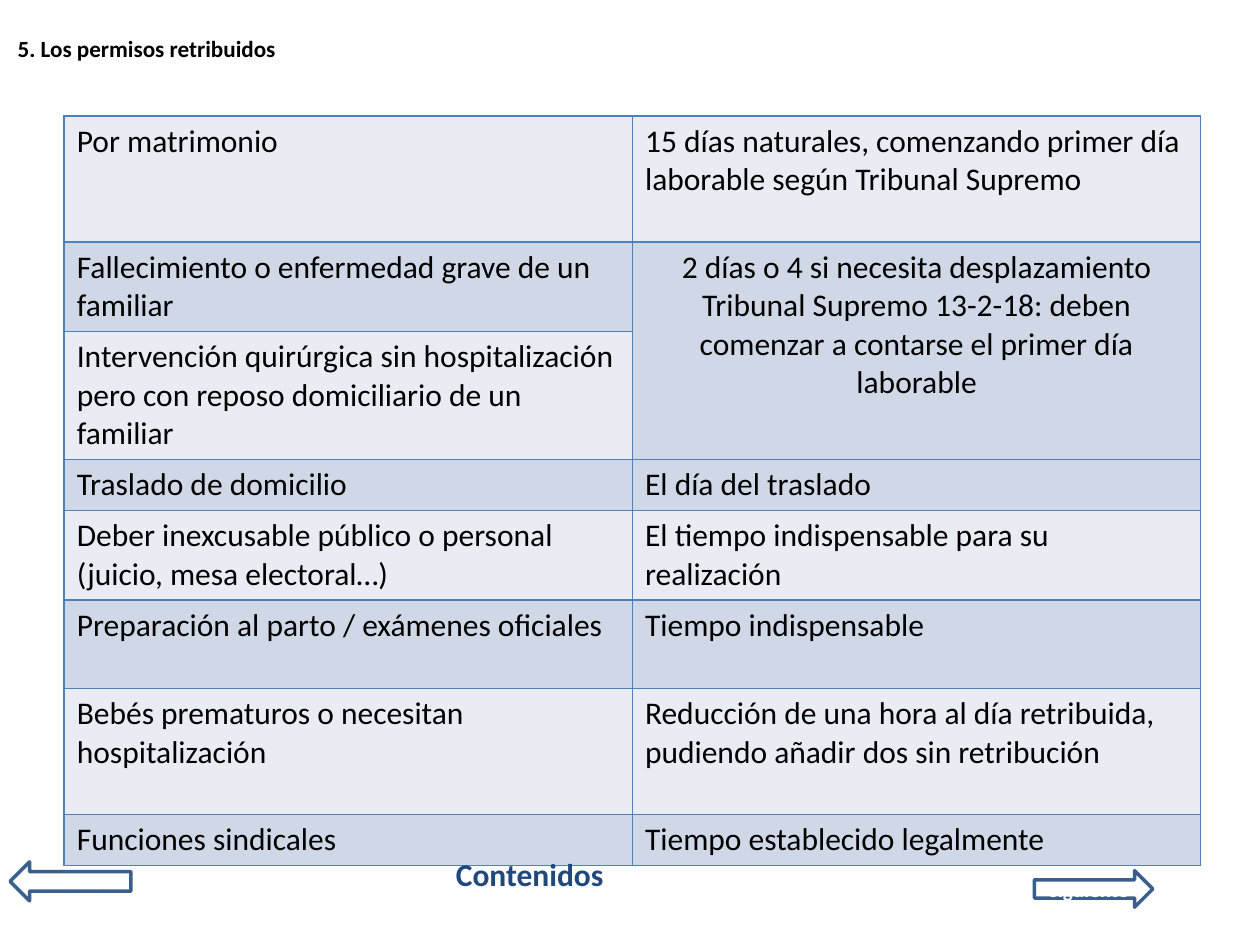
from lxml.etree import SubElement
from pptx import Presentation
from pptx.dml.color import RGBColor
from pptx.enum.shapes import MSO_SHAPE
from pptx.enum.text import MSO_ANCHOR, MSO_AUTO_SIZE, PP_ALIGN
from pptx.oxml.ns import qn
from pptx.util import Inches, Pt

BLACK = RGBColor(0x00, 0x00, 0x00)
WHITE = RGBColor(0xFF, 0xFF, 0xFF)
NAVY = RGBColor(0x1F, 0x49, 0x7D)
ARROW_LINE = RGBColor(0x3A, 0x5F, 0x8C)
BORDER = RGBColor(0x4F, 0x81, 0xBD)
BANDS = (RGBColor(0xE9, 0xEC, 0xF3), RGBColor(0xD0, 0xD8, 0xE7))

ROW_HEIGHTS = (1, 0.7, 1, 0.4, 0.7, 0.7, 1, 0.4)
LEAVE_ROWS = (
    ("Por matrimonio",
     "15 días naturales, comenzando primer día laborable según Tribunal Supremo"),
    ("Fallecimiento o enfermedad grave de un familiar",
     "2 días o 4 si necesita desplazamiento\n"
     "Tribunal Supremo 13-2-18: deben comenzar a contarse el primer día laborable"),
    ("Intervención quirúrgica sin hospitalización pero con reposo domiciliario "
     "de un familiar", ""),
    ("Traslado de domicilio", "El día del traslado"),
    ("Deber inexcusable público o personal (juicio, mesa electoral…)",
     "El tiempo indispensable para su realización"),
    ("Preparación al parto / exámenes oficiales", "Tiempo indispensable"),
    ("Bebés prematuros o necesitan hospitalización",
     "Reducción de una hora al día retribuida, pudiendo añadir dos sin retribución"),
    ("Funciones sindicales", "Tiempo establecido legalmente"),
)


def write_text(frame, text, size, color, bold=False, align=PP_ALIGN.LEFT):
    """Fill a text frame and format all its runs alike."""
    frame.text = text
    frame.word_wrap = True
    for para in frame.paragraphs:
        para.alignment = align
        for span in para.runs:
            span.font.name = "Calibri"
            span.font.size = Pt(size)
            span.font.bold = bold
            span.font.color.rgb = color


def add_borders(cell):
    """Draw a thin line on each side of a table cell."""
    properties = cell._tc.get_or_add_tcPr()
    for side in ("lnL", "lnR", "lnT", "lnB"):
        line = SubElement(properties, qn(f"a:{side}"), w=str(Pt(0.96)))
        fill = SubElement(line, qn("a:solidFill"))
        SubElement(fill, qn("a:srgbClr"), val=str(BORDER))


def place_title(page, left, top, width, height):
    """Move the title placeholder into its box and write the heading."""
    title = page.shapes.title
    title.left, title.top = Inches(left), Inches(top)
    title.width, title.height = Inches(width), Inches(height)
    frame = title.text_frame
    write_text(frame, "5. Los permisos retribuidos", 13.2, BLACK, bold=True)
    frame.auto_size = MSO_AUTO_SIZE.NONE
    frame.vertical_anchor = MSO_ANCHOR.MIDDLE


def add_leave_table(page, left, top, width):
    """Add the banded table of paid leave."""
    frame = page.shapes.add_table(
        len(LEAVE_ROWS), 2, Inches(left), Inches(top),
        Inches(width), Inches(sum(ROW_HEIGHTS)))
    table = frame.table
    for column in table.columns:
        column.width = Inches(width / 2)
    for row_index, texts in enumerate(LEAVE_ROWS):
        table.rows[row_index].height = Inches(ROW_HEIGHTS[row_index])
        for column_index, text in enumerate(texts):
            cell = table.cell(row_index, column_index)
            align = PP_ALIGN.CENTER if "\n" in text else PP_ALIGN.LEFT
            write_text(cell.text_frame, text, 18, BLACK, align=align)
            add_borders(cell)
            cell.fill.solid()
            cell.fill.fore_color.rgb = BANDS[row_index % 2]
    table.cell(1, 1).merge(table.cell(2, 1))


def add_contents_label(page, left, top, width, height):
    """Add the contents label at the foot of the page."""
    box = page.shapes.add_textbox(
        Inches(left), Inches(top), Inches(width), Inches(height))
    write_text(box.text_frame, "Contenidos", 18, NAVY, bold=True)


def add_arrow(page, preset, label, left, top, width, height):
    """Add an outlined navigation arrow with its label."""
    arrow = page.shapes.add_shape(
        preset, Inches(left), Inches(top), Inches(width), Inches(height))
    arrow.shadow.inherit = False
    arrow.fill.background()
    arrow.line.color.rgb = ARROW_LINE
    arrow.line.width = Pt(2)
    write_text(arrow.text_frame, label, 12, WHITE, bold=True, align=PP_ALIGN.CENTER)
    arrow.text_frame.vertical_anchor = MSO_ANCHOR.MIDDLE


def build_deck():
    """Build the one-slide deck and save it."""
    deck = Presentation()
    deck.slide_width, deck.slide_height = Inches(10), Inches(7.5)
    page = deck.slides.add_slide(deck.slide_layouts[5])
    place_title(page, 0.04, 0, 9.62, 0.76)
    add_leave_table(page, 0.51, 0.92, 9.02)
    add_contents_label(page, 3.52, 6.74, 1.44, 0.7)
    add_arrow(page, MSO_SHAPE.LEFT_ARROW, "anterior", 0.08, 6.84, 0.96, 0.31)
    add_arrow(page, MSO_SHAPE.RIGHT_ARROW, "siguiente", 8.21, 6.91, 0.94, 0.29)
    deck.save("out.pptx")


build_deck()
